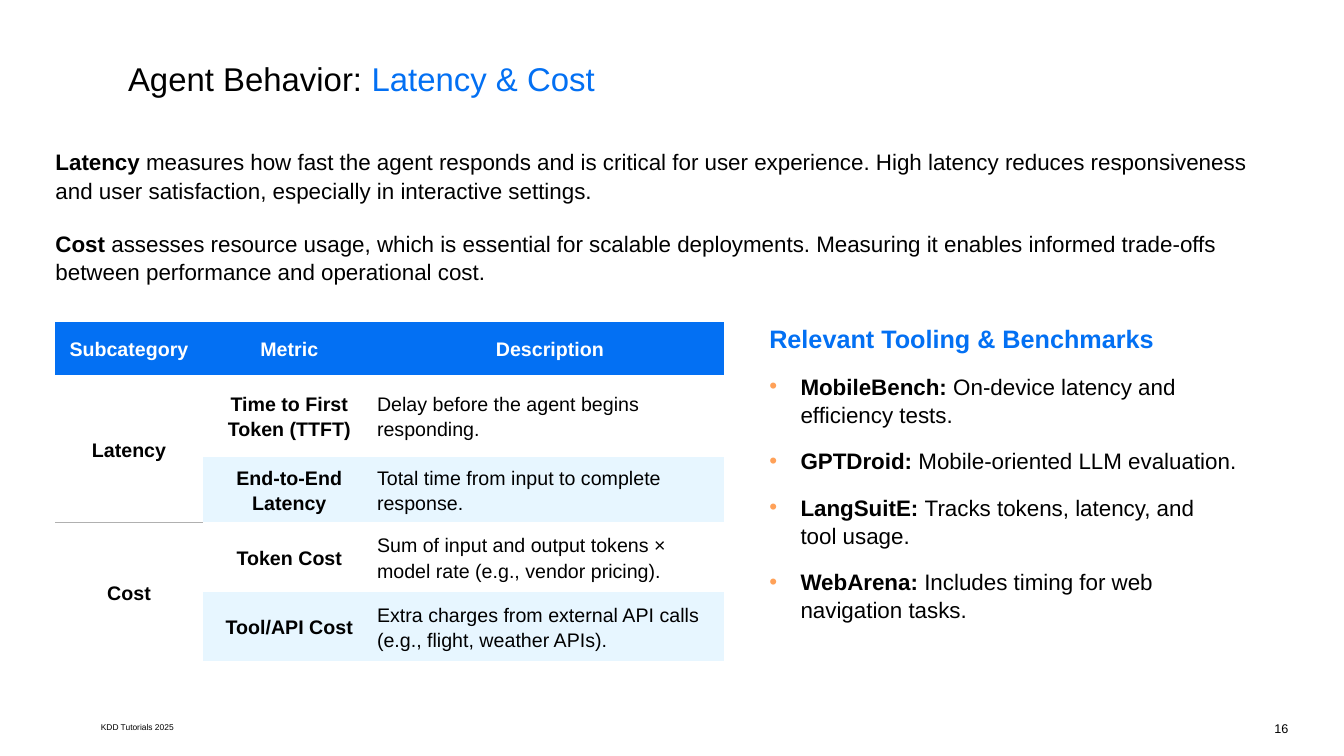
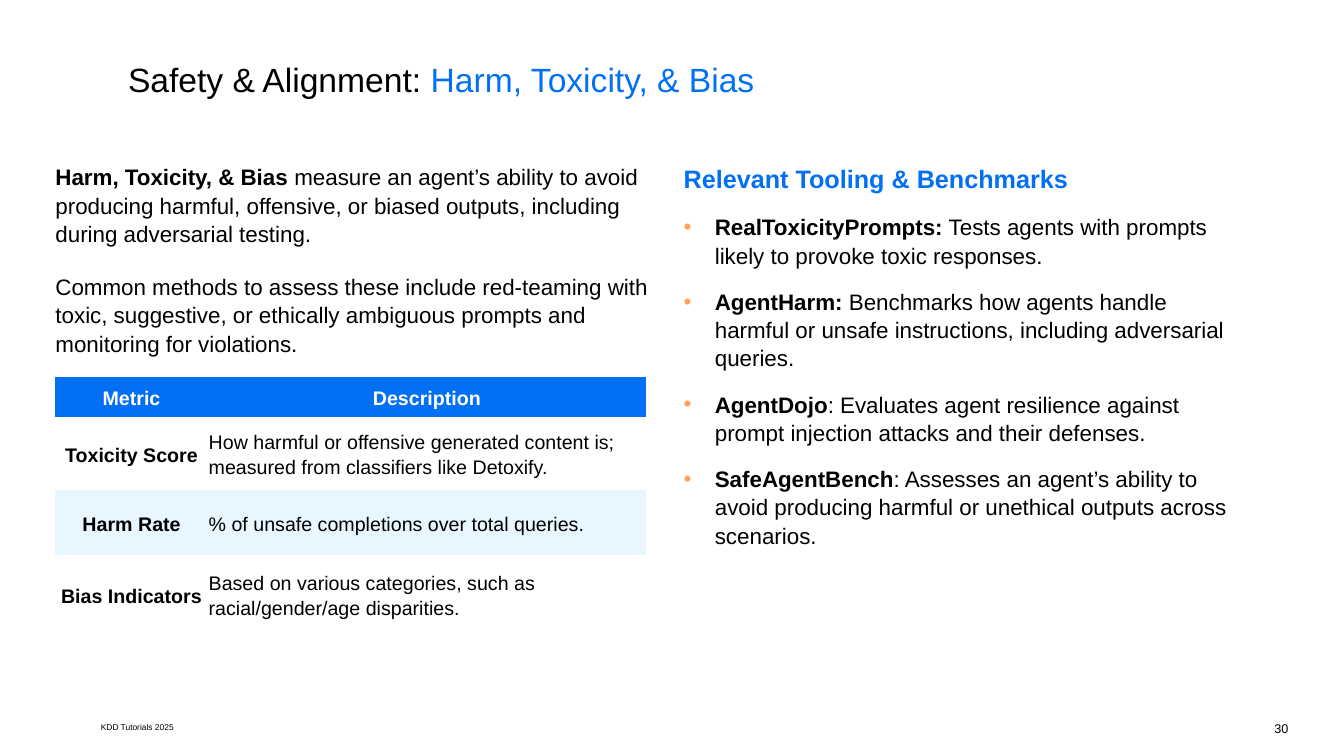
import dataclasses
import typing

import pptx
import pptx.dml.color
import pptx.enum.text
import pptx.oxml
import pptx.oxml.ns
import pptx.util

Inches = pptx.util.Inches
Pt = pptx.util.Pt
Align = pptx.enum.text.PP_ALIGN
Anchor = pptx.enum.text.MSO_ANCHOR

FONT = "Arial"
COLORS = {
    "text": "000000",
    "accent": "0370F3",
    "bullet": "FFA158",
    "white": "FFFFFF",
    "stripe": "E7F6FF",
    "rule": "B0B0B0",
}
NO_GRID_STYLE = "{2D5ABB26-0587-4C30-8999-92F81FD0307C}"
LEFT_EDGE = 0.55
TWO_CONTENT_LAYOUT = 3


class Box(typing.NamedTuple):
    left: float
    top: float
    width: float
    height: float


class Passage(typing.NamedTuple):
    """A bold lead followed by regular text."""
    lead: str
    rest: str


@dataclasses.dataclass
class MetricTable:
    box: Box
    columns: list[float]
    row_heights: list[float]
    header: list[str]
    rows: list[list[str]]
    groups: list[str] = dataclasses.field(default_factory=list)


@dataclasses.dataclass
class MetricSlide:
    number: int
    topic: str
    subtopic: str
    title_size: float
    intro_box: Box
    intro: list[Passage]
    table: MetricTable
    tools_box: Box
    tools: list[Passage]


# Text helpers
def add_run(paragraph, text: str, size: float, color: str = "text", bold: bool = False) -> None:
    for index, line in enumerate(text.split("\n")):
        if index:
            paragraph.add_line_break()
        run = paragraph.add_run()
        run.text = line
        run.font.name = FONT
        run.font.size = Pt(size)
        run.font.bold = bold
        run.font.color.rgb = pptx.dml.color.RGBColor.from_string(COLORS[color])


def place(shape, box: Box, anchor=Anchor.TOP, wrap: bool = True):
    shape.left, shape.top, shape.width, shape.height = map(Inches, box)
    frame = shape.text_frame
    frame.margin_left = frame.margin_right = frame.margin_top = frame.margin_bottom = 0
    frame.auto_size = pptx.enum.text.MSO_AUTO_SIZE.NONE
    frame.word_wrap = wrap
    frame.vertical_anchor = anchor
    return frame


def next_paragraph(frame, space_before: float):
    """Return the unused first paragraph, or a new one with space above it."""
    first = frame.paragraphs[0]
    unused = len(frame.paragraphs) == 1 and not first.runs
    paragraph = first if unused else frame.add_paragraph()
    paragraph.space_before = Pt(0 if unused else space_before)
    paragraph.line_spacing = 1.05
    paragraph.alignment = Align.LEFT
    return paragraph


def set_bullet(paragraph, indent: float = 0) -> None:
    """Hang an orange bullet by the indent; no indent means no bullet."""
    properties = paragraph._p.get_or_add_pPr()
    properties.set("marL", str(Inches(indent)))
    properties.set("indent", str(-Inches(indent)))
    namespace = pptx.oxml.ns.nsdecls("a")
    if indent:
        parts = [
            f'<a:buClr {namespace}><a:srgbClr val="{COLORS["bullet"]}"/></a:buClr>',
            f'<a:buFont {namespace} typeface="{FONT}"/>',
            f'<a:buChar {namespace} char="•"/>',
        ]
    else:
        parts = [f"<a:buNone {namespace}/>"]
    for part in parts:
        properties.append(pptx.oxml.parse_xml(part))


# Slide parts
def draw_title(slide, content: MetricSlide) -> None:
    frame = place(slide.shapes.title, Box(1.27, 0.56, 12, 0.4))
    paragraph = next_paragraph(frame, 0)
    add_run(paragraph, f"{content.topic}: ", content.title_size)
    add_run(paragraph, content.subtopic, content.title_size, "accent")


def draw_footer(slide, number: int) -> None:
    credit = place(slide.shapes.add_textbox(0, 0, 0, 0), Box(1, 7.09, 0.92, 0.25), Anchor.MIDDLE)
    add_run(credit.paragraphs[0], "KDD Tutorials 2025", 6)
    page = place(slide.shapes.add_textbox(0, 0, 0, 0), Box(12.28, 7.15, 0.5, 0.15))
    page.paragraphs[0].alignment = Align.RIGHT
    add_run(page.paragraphs[0], str(number), 9)


def draw_intro(placeholder, box: Box, intro: list[Passage]) -> None:
    frame = place(placeholder, box)
    for passage in intro:
        paragraph = next_paragraph(frame, 18)
        set_bullet(paragraph)
        if passage.lead:
            add_run(paragraph, passage.lead, 16, bold=True)
        add_run(paragraph, passage.rest, 16)


def draw_tools(placeholder, box: Box, tools: list[Passage]) -> None:
    frame = place(placeholder, box)
    heading = next_paragraph(frame, 13)
    set_bullet(heading)
    add_run(heading, "Relevant Tooling & Benchmarks", 18, "accent", True)
    for tool in tools:
        paragraph = next_paragraph(frame, 13)
        set_bullet(paragraph, 0.31)
        add_run(paragraph, tool.lead, 16, bold=True)
        add_run(paragraph, tool.rest, 16)


def fill_cell(cell, text: str, fill: str, color: str = "text",
              bold: bool = True, centered: bool = True) -> None:
    cell.fill.solid()
    cell.fill.fore_color.rgb = pptx.dml.color.RGBColor.from_string(COLORS[fill])
    cell.margin_left = cell.margin_right = cell.margin_top = cell.margin_bottom = Inches(0.01)
    cell.vertical_anchor = Anchor.MIDDLE
    paragraph = cell.text_frame.paragraphs[0]
    paragraph.alignment = Align.CENTER if centered else Align.LEFT
    paragraph.line_spacing = 1.15
    add_run(paragraph, text, 14, color, bold)


def rule_above(cell) -> None:
    line = pptx.oxml.parse_xml(
        f'<a:lnT {pptx.oxml.ns.nsdecls("a")} w="{Pt(0.75)}"><a:solidFill>'
        f'<a:srgbClr val="{COLORS["rule"]}"/></a:solidFill></a:lnT>')
    cell._tc.get_or_add_tcPr().insert(0, line)


def draw_table(slide, content: MetricTable) -> None:
    size = len(content.row_heights), len(content.columns)
    table = slide.shapes.add_table(*size, *map(Inches, content.box)).table
    table.first_row = table.horz_banding = False
    table._tbl.tblPr.find(pptx.oxml.ns.qn("a:tableStyleId")).text = NO_GRID_STYLE
    for column, width in zip(table.columns, content.columns):
        column.width = Inches(width)
    for row, height in zip(table.rows, content.row_heights):
        row.height = Inches(height)

    for column, label in enumerate(content.header):
        fill_cell(table.cell(0, column), label, "accent", "white")
    offset = 1 if content.groups else 0
    for row, (metric, description) in enumerate(content.rows, start=1):
        fill = "white" if row % 2 else "stripe"
        fill_cell(table.cell(row, offset), metric, fill)
        fill_cell(table.cell(row, offset + 1), description, fill, bold=False, centered=False)

    # Each group spans two metrics
    for index, group in enumerate(content.groups):
        top = 1 + 2 * index
        cell = table.cell(top, 0)
        cell.merge(table.cell(top + 1, 0))
        fill_cell(cell, group, "white")
        if index:
            rule_above(cell)


def draw_slide(deck, content: MetricSlide) -> None:
    slide = deck.slides.add_slide(deck.slide_layouts[TWO_CONTENT_LAYOUT])
    _, intro, tools = slide.placeholders
    draw_title(slide, content)
    draw_intro(intro, content.intro_box, content.intro)
    draw_tools(tools, content.tools_box, content.tools)
    draw_table(slide, content.table)
    draw_footer(slide, content.number)


# Content
LATENCY_AND_COST = MetricSlide(
    number=16,
    topic="Agent Behavior",
    subtopic="Latency & Cost",
    title_size=23.5,
    intro_box=Box(LEFT_EDGE, 1.46, 12.23, 1.5),
    intro=[
        Passage("Latency ", "measures how fast the agent responds and is critical for user "
                "experience. High latency reduces responsiveness and user satisfaction, "
                "especially in interactive settings."),
        Passage("Cost ", "assesses resource usage, which is essential for scalable deployments. "
                "Measuring it enables informed trade-offs between performance and "
                "operational cost."),
    ],
    table=MetricTable(
        box=Box(LEFT_EDGE, 3.19, 6.63, 3.37),
        columns=[1.46, 1.72, 3.45],
        row_heights=[0.53, 0.81, 0.65, 0.69, 0.69],
        header=["Subcategory", "Metric", "Description"],
        groups=["Latency", "Cost"],
        rows=[
            ["Time to First Token (TTFT)", "Delay before the agent begins responding."],
            ["End-to-End Latency", "Total time from input to complete response."],
            ["Token Cost", "Sum of input and output tokens × model rate (e.g., vendor pricing)."],
            ["Tool/API Cost",
             "Extra charges from external API calls (e.g., flight, weather APIs)."],
        ],
    ),
    tools_box=Box(7.63, 3.19, 5.6, 3.82),
    tools=[
        Passage("MobileBench:", " On-device latency and\nefficiency tests."),
        Passage("GPTDroid:", " Mobile-oriented LLM evaluation."),
        Passage("LangSuitE: ", "Tracks tokens, latency, and\ntool usage."),
        Passage("WebArena:", " Includes timing for web\nnavigation tasks."),
    ],
)

HARM_AND_BIAS = MetricSlide(
    number=30,
    topic="Safety & Alignment",
    subtopic="Harm, Toxicity, & Bias",
    title_size=24,
    intro_box=Box(LEFT_EDGE, 1.61, 6.15, 2),
    intro=[
        Passage("Harm, Toxicity, & Bias ", "measure an agent’s ability to avoid producing "
                "harmful, offensive, or biased outputs, including during adversarial testing."),
        Passage("", "Common methods to assess these include red-teaming with toxic, suggestive, "
                "or ethically ambiguous prompts and monitoring for violations."),
    ],
    table=MetricTable(
        box=Box(LEFT_EDGE, 3.74, 5.86, 2.55),
        columns=[1.51, 4.35],
        row_heights=[0.4, 0.72, 0.65, 0.78],
        header=["Metric", "Description"],
        rows=[
            ["Toxicity Score", "How harmful or offensive generated content is; measured from "
             "classifiers like Detoxify."],
            ["Harm Rate", "% of unsafe completions over total queries."],
            ["Bias Indicators",
             "Based on various categories, such as racial/gender/age disparities."],
        ],
    ),
    tools_box=Box(6.78, 1.61, 5.4, 4.63),
    tools=[
        Passage("RealToxicityPrompts:",
                " Tests agents with prompts likely to provoke toxic responses."),
        Passage("AgentHarm:", " Benchmarks how agents handle harmful or unsafe instructions, "
                "including adversarial queries."),
        Passage("AgentDojo", ": Evaluates agent resilience against prompt injection attacks "
                "and their defenses."),
        Passage("SafeAgentBench", ": Assesses an agent’s ability to avoid producing harmful or "
                "unethical outputs across scenarios."),
    ],
)


def main() -> None:
    deck = pptx.Presentation()
    deck.slide_width, deck.slide_height = Inches(13.33), Inches(7.5)
    for content in (LATENCY_AND_COST, HARM_AND_BIAS):
        draw_slide(deck, content)
    deck.save("out.pptx")


if __name__ == "__main__":
    main()
